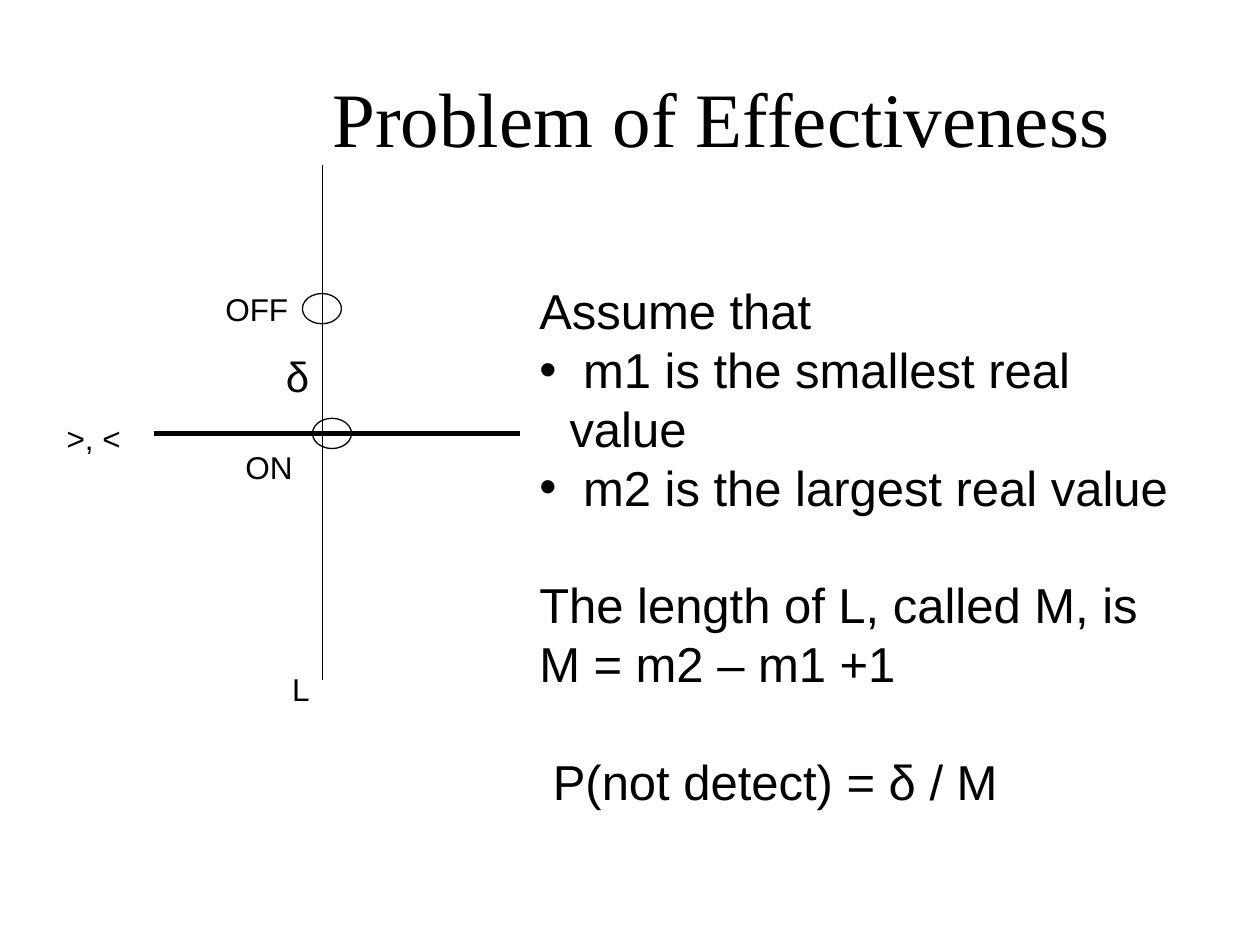
"""Build the slide on the effectiveness of ON and OFF boundary points."""
from typing import NamedTuple

from lxml.etree import SubElement
from pptx import Presentation
from pptx.dml.color import RGBColor
from pptx.enum.shapes import MSO_CONNECTOR, MSO_SHAPE
from pptx.enum.text import MSO_ANCHOR, MSO_AUTO_SIZE, PP_ALIGN
from pptx.oxml.ns import qn
from pptx.util import Inches, Pt

BLACK = RGBColor(0x00, 0x00, 0x00)
LEADING = 1.2
BULLET_INDENT = Inches(0.24)
POINT_SIZE = (Inches(0.31), Inches(0.24))


class Label(NamedTuple):
    text: str
    left: float
    top: float
    width: float
    height: float = 0.4
    size: int = 18


class Axis(NamedTuple):
    start: tuple[float, float]
    end: tuple[float, float]
    weight: float


class Statement(NamedTuple):
    text: str
    bullet: bool = False
    gap: bool = False


LABELS = [
    Label(">, <", 0.43, 3.28, 0.63),
    Label("ON", 1.85, 3.51, 0.57),
    Label("OFF", 1.69, 2.25, 0.7),
    Label("L", 2.22, 5.27, 0.34),
    Label("δ", 2.17, 2.73, 0.36, height=0.5, size=24),
]
BOUNDARY = Axis((1.22, 3.44), (4.13, 3.44), 3)
DOMAIN = Axis((2.56, 1.31), (2.56, 5.4), 0.75)
POINTS = [(2.4, 2.33), (2.48, 3.32)]
STATEMENTS = [
    Statement("Assume that"),
    Statement(" m1 is the smallest real value", bullet=True),
    Statement(" m2 is the largest real value", bullet=True),
    Statement("The length of L, called M, is", gap=True),
    Statement("M = m2 – m1 +1"),
    Statement(" P(not detect) = δ / M", gap=True),
]


def write(paragraph, text: str, *, size: int, font: str = "Arial",
          align=PP_ALIGN.LEFT, bullet: bool = False, gap: bool = False) -> None:
    properties = paragraph._p.get_or_add_pPr()
    indent = BULLET_INDENT if bullet else 0
    properties.set("marL", str(indent))
    properties.set("indent", str(-indent))
    if bullet:
        SubElement(properties, qn("a:buChar"), char="•")
    else:
        SubElement(properties, qn("a:buNone"))
    leading = Pt(size * LEADING)
    paragraph.alignment = align
    paragraph.line_spacing = leading
    paragraph.space_before = leading if gap else Pt(0)
    run = paragraph.add_run()
    run.text = text
    run.font.size = Pt(size)
    run.font.name = font
    run.font.color.rgb = BLACK


def place(shape, left: float, top: float, width: float, height: float,
          anchor=MSO_ANCHOR.TOP, wrap: bool = True) -> None:
    shape.left, shape.top = Inches(left), Inches(top)
    shape.width, shape.height = Inches(width), Inches(height)
    frame = shape.text_frame
    frame.auto_size = MSO_AUTO_SIZE.NONE
    frame.vertical_anchor = anchor
    frame.word_wrap = wrap


def draw_axis(slide, axis: Axis) -> None:
    ends = [Inches(value) for value in axis.start + axis.end]
    connector = slide.shapes.add_connector(MSO_CONNECTOR.STRAIGHT, *ends)
    connector.line.color.rgb = BLACK
    connector.line.width = Pt(axis.weight)
    SubElement(connector._element.spPr, qn("a:effectLst"))


def draw_point(slide, left: float, top: float) -> None:
    point = slide.shapes.add_shape(
        MSO_SHAPE.OVAL, Inches(left), Inches(top), *POINT_SIZE)
    point.shadow.inherit = False
    point.fill.background()
    point.line.color.rgb = BLACK
    point.line.width = Pt(0.75)


def draw_label(slide, label: Label) -> None:
    box = slide.shapes.add_textbox(0, 0, 0, 0)
    place(box, label.left, label.top, label.width, label.height, wrap=False)
    write(box.text_frame.paragraphs[0], label.text, size=label.size)


def main() -> None:
    presentation = Presentation()
    presentation.slide_width, presentation.slide_height = Inches(10), Inches(7.5)
    slide = presentation.slides.add_slide(presentation.slide_layouts[1])

    title = slide.shapes.title
    place(title, 1.95, 0.3, 7.55, 1.25, anchor=MSO_ANCHOR.MIDDLE)
    write(title.text_frame.paragraphs[0], "Problem of Effectiveness",
          size=44, font="Times New Roman", align=PP_ALIGN.CENTER)

    draw_axis(slide, BOUNDARY)
    for left, top in POINTS:
        draw_point(slide, left, top)
    draw_axis(slide, DOMAIN)
    for label in LABELS:
        draw_label(slide, label)

    body = slide.placeholders[1]
    place(body, 4.18, 2.18, 5.34, 3.84)
    frame = body.text_frame
    for index, statement in enumerate(STATEMENTS):
        paragraph = frame.add_paragraph() if index else frame.paragraphs[0]
        write(paragraph, statement.text, size=28,
              bullet=statement.bullet, gap=statement.gap)

    presentation.save("out.pptx")


if __name__ == "__main__":
    main()
